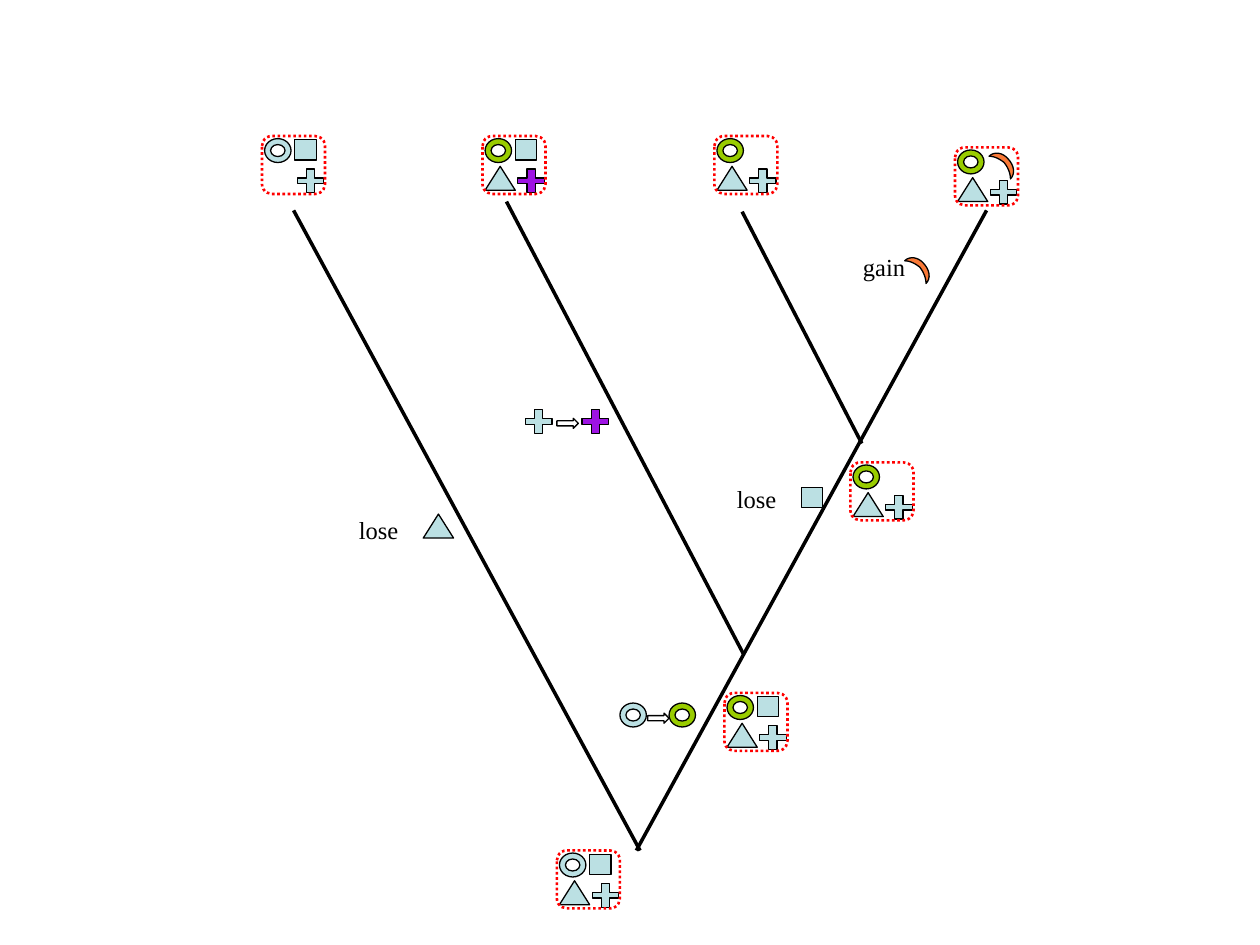
"""Draw a gene tree in which genomes lose, gain and change genes."""
from lxml.etree import SubElement
from pptx import Presentation
from pptx.dml.color import RGBColor
from pptx.enum.dml import MSO_LINE
from pptx.enum.shapes import MSO_CONNECTOR, MSO_SHAPE
from pptx.enum.text import MSO_ANCHOR
from pptx.oxml.ns import qn
from pptx.util import Pt

EMU_PER_PX = 9144
FONT = "Times New Roman"
COLORS = {
    "black": "000000",
    "pale": "BBE0E3",
    "green": "99CC00",
    "purple": "9E13E3",
    "orange": "F97937",
    "red": "FF0000",
}
GENES = {
    "ring": (MSO_SHAPE.DONUT, 21, 19, [0.25]),
    "square": (MSO_SHAPE.RECTANGLE, 17, 16, []),
    "triangle": (MSO_SHAPE.ISOSCELES_TRIANGLE, 24, 19, [0.5]),
    "cross": (MSO_SHAPE.CROSS, 21, 19, [0.38]),
}
SLOTS = {"ring": (2, 2), "square": (26, 3), "triangle": (2, 24), "cross": (28, 26), "crescent": (34, 0)}
CRESCENT = [
    [(10, 25), (10, 22), (9, 17), (5, 12)],
    [(5, 12), (0, 8), (-4, 7), (-7, 7)],
    [(-7, 7), (-3, 3), (4, 4), (8, 9)],
    [(8, 9), (13, 14), (14, 21), (10, 25)],
]
BRANCHES = [
    (783, 167, 505, 675),
    (233, 167, 508, 675),
    (589, 168, 684, 352),
    (402, 160, 590, 519),
]
GENOMES = [
    (442, 675, {"ring": "pale", "square": "pale", "triangle": "pale", "cross": "pale"}),
    (575, 550, {"ring": "green", "square": "pale", "triangle": "pale", "cross": "pale"}),
    (208, 108, {"ring": "pale", "square": "pale", "cross": "pale"}),
    (383, 108, {"ring": "green", "square": "pale", "triangle": "pale", "cross": "purple"}),
    (675, 367, {"ring": "green", "triangle": "pale", "cross": "pale"}),
    (567, 108, {"ring": "green", "triangle": "pale", "cross": "pale"}),
    (758, 117, {"ring": "green", "triangle": "pale", "cross": "pale", "crescent": "orange"}),
]
EVENTS = [
    ("lose", 275, 392, 60, "triangle", "pale", 336, 408),
    ("lose", 575, 367, 60, "square", "pale", 636, 387),
    ("gain", 675, 183, 62, "crescent", "orange", 725, 200),
]
CHANGES = [
    ("ring", "pale", 492, "green", 531, 558, 514, 566),
    ("cross", "pale", 417, "purple", 462, 325, 442, 332),
]


def px(length):
    return round(length * EMU_PER_PX)


def bezier(curve, t):
    weights = ((1 - t) ** 3, 3 * t * (1 - t) ** 2, 3 * t * t * (1 - t), t ** 3)
    return tuple(sum(w * point[axis] for w, point in zip(weights, curve)) for axis in (0, 1))


class TreeSlide:
    def __init__(self, slide):
        self.slide = slide
        self.shapes = slide.shapes

    def start_group(self):
        self.shapes = self.slide.shapes.add_group_shape().shapes

    def style(self, shape, fill=None, line="black", weight=0.75):
        shape.shadow.inherit = False
        if fill:
            shape.fill.solid()
            shape.fill.fore_color.rgb = RGBColor.from_string(COLORS[fill])
        else:
            shape.fill.background()
        shape.line.color.rgb = RGBColor.from_string(COLORS[line])
        shape.line.width = Pt(weight)

    def preset(self, kind, left, top, width, height, adjustments, **style):
        shape = self.shapes.add_shape(kind, px(left), px(top), px(width), px(height))
        for index, value in enumerate(adjustments):
            shape.adjustments[index] = value
        self.style(shape, **style)
        return shape

    def crescent(self, left, top, color):
        steps = 8
        points = [bezier(curve, step / steps) for curve in CRESCENT for step in range(steps)]
        outline = [(px(left + x), px(top + y)) for x, y in points]
        builder = self.shapes.build_freeform(*outline[0])
        builder.add_line_segments(outline[1:], close=True)
        self.style(builder.convert_to_shape(), color)

    def gene(self, name, left, top, color):
        if name == "crescent":
            self.crescent(left, top, color)
        else:
            kind, width, height, adjustments = GENES[name]
            self.preset(kind, left, top, width, height, adjustments, fill=color)

    def genome(self, left, top, genes):
        self.start_group()
        for name, color in genes.items():
            x, y = SLOTS[name]
            self.gene(name, left + x, top + y, color)
        frame = self.preset(MSO_SHAPE.ROUNDED_RECTANGLE, left, top, 50, 46, [0.17], line="red", weight=1.5)
        frame.line.dash_style = MSO_LINE.ROUND_DOT

    def branch(self, x1, y1, x2, y2):
        connector = self.shapes.add_connector(MSO_CONNECTOR.STRAIGHT, px(x1), px(y1), px(x2), px(y2))
        connector.line.color.rgb = RGBColor.from_string(COLORS["black"])
        connector.line.width = Pt(2)
        SubElement(connector._element.spPr, qn("a:effectLst"))

    def label(self, text, left, top, width):
        frame = self.shapes.add_textbox(px(left), px(top), px(width), px(50)).text_frame
        frame.word_wrap = False
        frame.vertical_anchor = MSO_ANCHOR.TOP
        frame.margin_top = px(17)
        paragraph = frame.paragraphs[0]
        paragraph.text = text
        paragraph.font.name = FONT
        paragraph.font.size = Pt(14)
        paragraph.font.color.rgb = RGBColor.from_string(COLORS["black"])

    def event(self, text, left, top, width, name, color, gene_left, gene_top):
        self.start_group()
        self.label(text, left, top, width)
        self.gene(name, gene_left, gene_top, color)

    def change(self, name, old, old_left, new, new_left, top, arrow_left, arrow_top):
        self.start_group()
        self.gene(name, old_left, top, old)
        self.gene(name, new_left, top, new)
        self.preset(MSO_SHAPE.RIGHT_ARROW, arrow_left, arrow_top, 17, 8, [0.5, 0.5])


def main():
    presentation = Presentation()
    presentation.slide_width = px(1000)
    presentation.slide_height = px(750)
    tree = TreeSlide(presentation.slides.add_slide(presentation.slide_layouts[6]))
    tree.start_group()
    for branch in BRANCHES:
        tree.branch(*branch)
    for genome in GENOMES:
        tree.genome(*genome)
    for event in EVENTS:
        tree.event(*event)
    for change in CHANGES:
        tree.change(*change)
    presentation.save("out.pptx")


if __name__ == "__main__":
    main()
